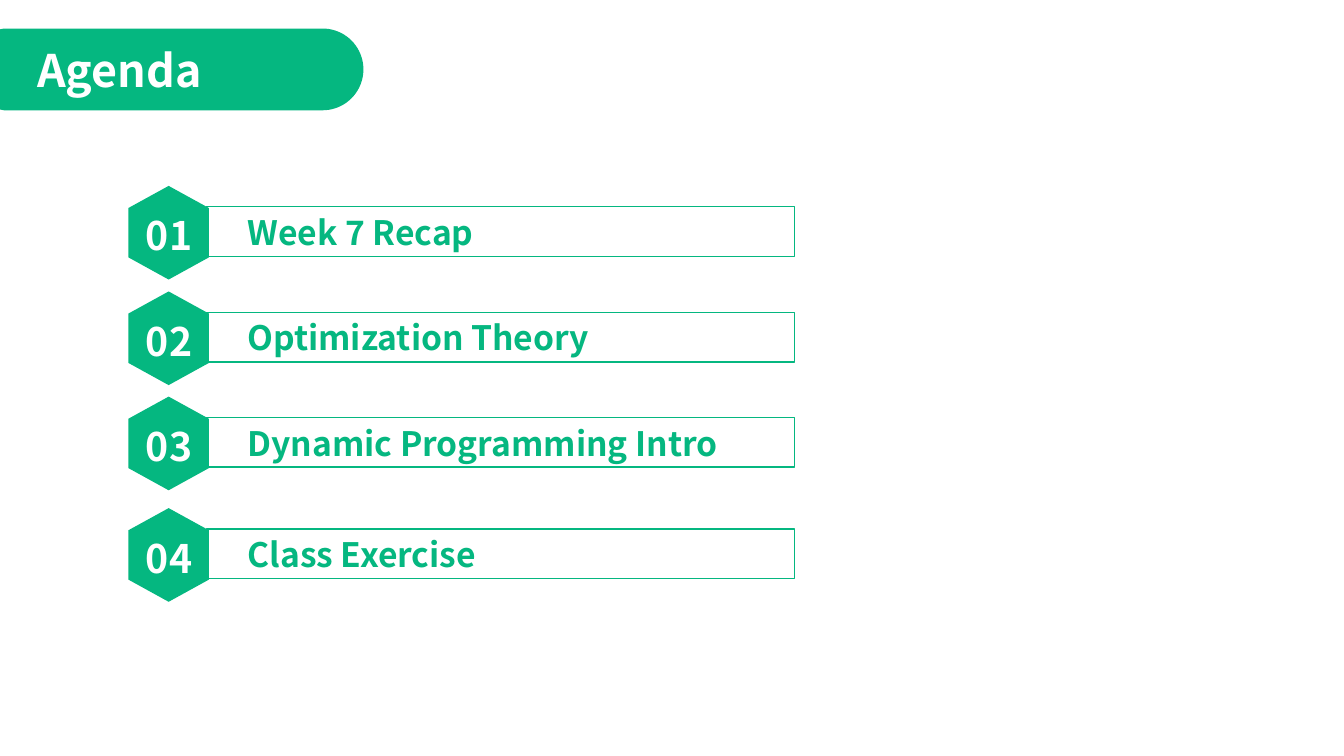
"""Build an agenda slide with four numbered hexagon entries."""
from math import cos, pi, sin

from pptx import Presentation
from pptx.dml.color import RGBColor
from pptx.enum.shapes import MSO_SHAPE
from pptx.enum.text import MSO_AUTO_SIZE
from pptx.util import Cm, Pt

RECT = MSO_SHAPE.RECTANGLE
HEXAGON = MSO_SHAPE.HEXAGON
GROW = MSO_AUTO_SIZE.SHAPE_TO_FIT_TEXT

GREEN = "05B780"
WHITE = "FFFFFF"
FONT = "Noto Sans CJK SC"
ENTRIES = [
    (5.21, "Week 7 Recap", 6.93),
    (7.87, "Optimization Theory", 12.6),
    (10.52, "Dynamic Programming Intro", 14.33),
    (13.33, "Class Exercise", 6.58),
]


def rgb(value):
    return RGBColor.from_string(value)


class Deck:
    def __init__(self, prs):
        self.s = prs.slides.add_slide(prs.slide_layouts[6])
        self.font = {"name": FONT, "bold": True}

    def paint(self, sp, fill=None, line=None):
        sp.shadow.inherit = False
        if fill:
            sp.fill.solid()
            sp.fill.fore_color.rgb = rgb(fill)
        else:
            sp.fill.background()
        if line:
            sp.line.color.rgb = rgb(line)
            sp.line.width = Pt(1)
        else:
            sp.line.fill.background()

    def text(self, shapes, text, x, y, w, h, size, color):
        tf = shapes.add_textbox(Cm(x), Cm(y), Cm(w), Cm(h)).text_frame
        tf.word_wrap = True
        tf.auto_size = GROW
        r = tf.paragraphs[0].add_run()
        r.text = text
        for name, value in {**self.font, "size": Pt(size)}.items():
            setattr(r.font, name, value)
        r.font.color.rgb = rgb(color)

    def frame(self, x, y, w, h):
        sp = self.s.shapes.add_shape(RECT, Cm(x), Cm(y), Cm(w), Cm(h))
        self.paint(sp, line=GREEN)

    def badge(self, number, y):
        shapes = self.s.shapes.add_group_shape().shapes
        sp = shapes.add_shape(HEXAGON, Cm(3.07), Cm(y - 0.36), Cm(2.36), Cm(2.03))
        sp.rotation = 90
        sp.adjustments[0] = 0.275
        sp.adjustments[1] = 1.155
        self.paint(sp, fill=GREEN)
        self.text(shapes, f"{number:02}", 3.43, y, 2.08, 1.45, 28, WHITE)

    def banner(self, cx, cy, radius, steps=40):
        angles = [pi * (i / steps - 0.5) for i in range(steps + 1)]
        points = [(cx + radius * cos(a), cy + radius * sin(a)) for a in angles]
        points += [(0.1, cy + radius), (0, cy + radius - 0.02), (0, cy - radius + 0.02)]
        fb = self.s.shapes.build_freeform(Cm(0.1), Cm(cy - radius))
        fb.add_line_segments([(Cm(x), Cm(y)) for x, y in points])
        self.paint(fb.convert_to_shape(), fill=GREEN)

    def title(self, text):
        self.banner(8.13, 1.75, 1.03)
        self.text(self.s.shapes, text, 0.69, 0.94, 7.77, 1.62, 32, WHITE)

    def entry(self, number, y, text, width):
        self.frame(5.21, y, 14.81, 1.25)
        self.text(self.s.shapes, text, 5.99, y, width, 1.28, 24, GREEN)
        self.badge(number, y)


def main():
    prs = Presentation()
    prs.slide_width, prs.slide_height = Cm(33.87), Cm(19.05)
    deck = Deck(prs)
    deck.title("Agenda")
    for number, (y, text, width) in enumerate(ENTRIES, 1):
        deck.entry(number, y, text, width)
    prs.save("out.pptx")


if __name__ == "__main__":
    main()
